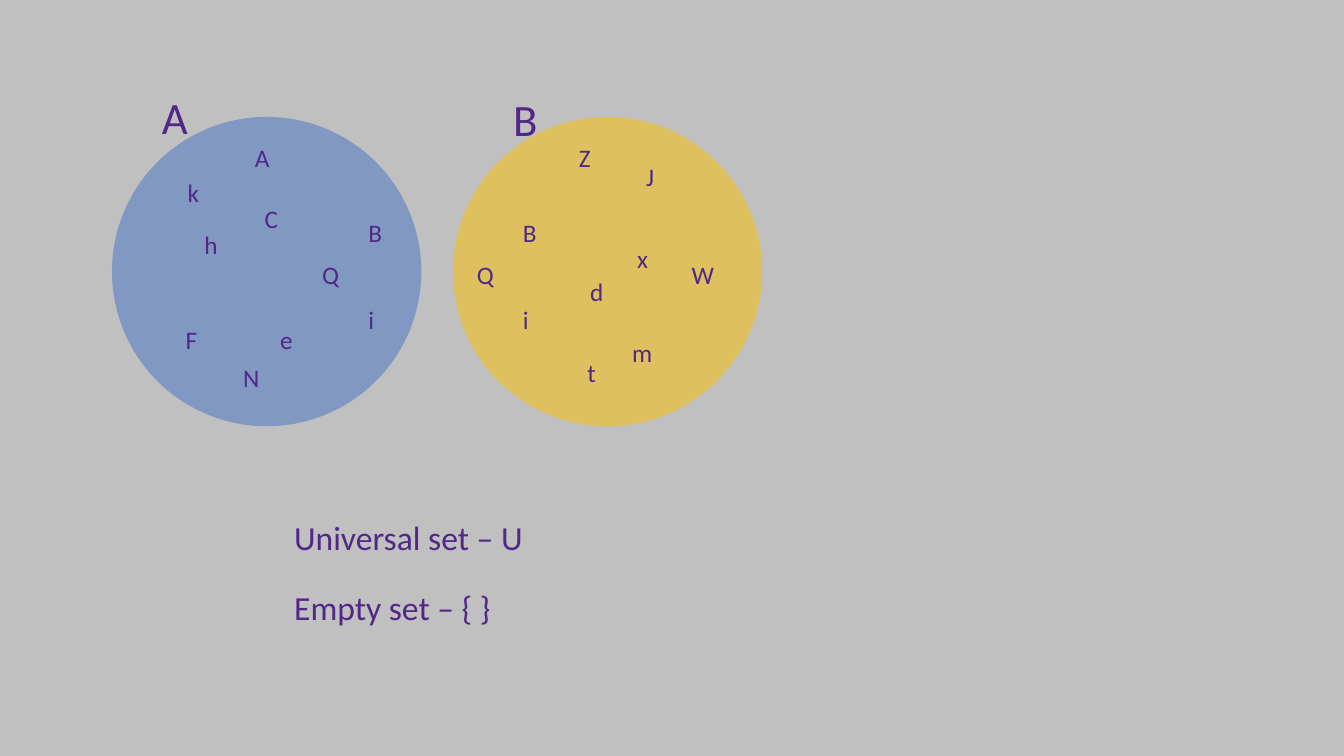
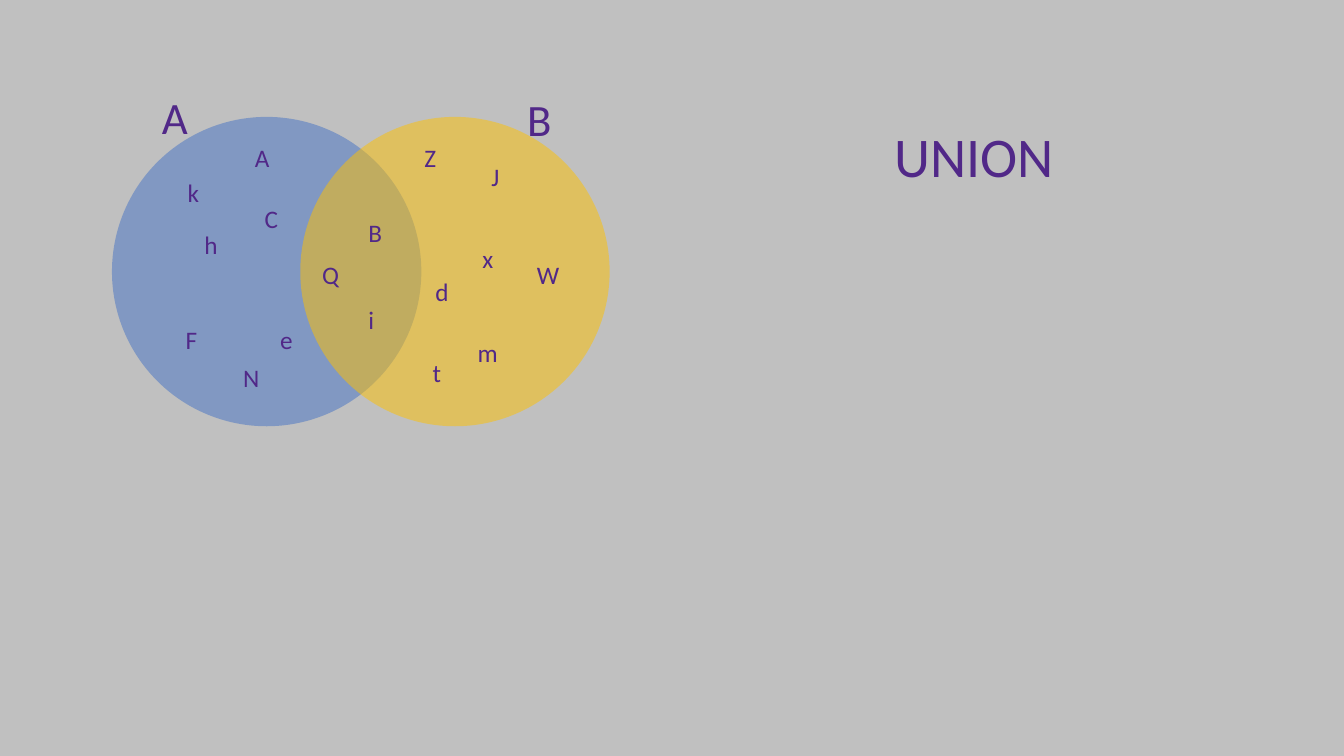
"""Build two slides on sets: two separate sets, then their union."""
from lxml import etree
from pptx import Presentation
from pptx import util as u
from pptx.dml import color
from pptx.enum import shapes, text
from pptx.oxml import ns

COLORS = {"background": "C0C0C0", "set_a": "4472C4", "set_b": "FFC000", "text": "512888"}
FRAME_FORMAT = {
    "word_wrap": False,
    "auto_size": text.MSO_AUTO_SIZE.SHAPE_TO_FIT_TEXT,
    "vertical_anchor": text.MSO_ANCHOR.TOP,
    "margin_left": u.Pt(7.2),
    "margin_right": u.Pt(7.2),
    "margin_top": u.Pt(3.6),
    "margin_bottom": u.Pt(3.6),
}
FONT_FORMAT = {"name": "Calibri", "bold": False}
SIZES = {"element": 18, "note": 24, "set_name": 32, "title": 40}
CIRCLE_TOP, DIAMETER = 83.5, 221
SET_A_LEFT = 80
SET_B_SHIFT = 110.5

ONLY_A = [
    ("A", 175, 98, 25), ("C", 182, 142, 22), ("e", 193, 228, 24), ("F", 125.5, 228, 23),
    ("h", 139, 160.5, 25), ("k", 127, 123, 23), ("N", 166.5, 255.5, 26),
]
ONLY_B = [
    ("d", 304, 194, 24.5), ("x", 337.5, 170.5, 23), ("J", 344, 112, 20), ("m", 334, 237.5, 29),
    ("W", 376.5, 181.5, 31), ("Z", 296, 98, 23), ("t", 302, 252, 21),
]
SHARED = [("B", 256, 152, 25), ("i", 256, 214, 19), ("Q", 223, 181.5, 26.5)]


def rgb(name):
    """Return the named colour."""
    return color.RGBColor.from_string(COLORS[name])


def apply_format(target, values):
    """Set each attribute of the target from a dict."""
    for name, value in values.items():
        setattr(target, name, value)


def write_text(shape, words, left, top, width, size):
    """Place a shape and give it one formatted line of text."""
    place = {"left": left, "top": top, "width": width, "height": size * 1.22 + 7.2}
    apply_format(shape, {name: u.Pt(value) for name, value in place.items()})
    apply_format(shape.text_frame, FRAME_FORMAT)
    paragraph = shape.text_frame.paragraphs[0]
    paragraph.text = words
    paragraph.alignment = text.PP_ALIGN.LEFT
    apply_format(paragraph.font, {**FONT_FORMAT, "size": u.Pt(size)})
    paragraph.font.color.rgb = rgb("text")


def add_label(slide, words, left, top, width, kind):
    """Add a text box in the size of its kind."""
    write_text(slide.shapes.add_textbox(0, 0, 0, 0), words, left, top, width, SIZES[kind])


def add_elements(slide, elements, shift=0):
    """Add the elements of a set, moved right by the shift."""
    for letter, left, top, width in elements:
        add_label(slide, letter, left + shift, top, width, "element")


def add_circle(slide, left, color_name):
    """Add a half-transparent circle for a set."""
    place = [u.Pt(value) for value in (left, CIRCLE_TOP, DIAMETER, DIAMETER)]
    circle = slide.shapes.add_shape(shapes.MSO_SHAPE.OVAL, *place)
    circle.shadow.inherit = False
    circle.line.fill.background()
    circle.fill.solid()
    circle.fill.fore_color.rgb = rgb(color_name)
    fill_color = circle.fill._xPr.find(".//" + ns.qn("a:srgbClr"))
    etree.SubElement(fill_color, ns.qn("a:alpha"), val="50000")


def add_sets(slide, set_b_left, name_b_left, shift):
    """Add both circles, their names and the elements of each set."""
    add_circle(slide, SET_A_LEFT, "set_a")
    add_circle(slide, set_b_left, "set_b")
    add_elements(slide, ONLY_A)
    add_elements(slide, SHARED)
    add_elements(slide, ONLY_B, shift)
    if shift:
        add_elements(slide, SHARED, shift)
    add_label(slide, "A", 108.5, 60.5, 33, "set_name")
    add_label(slide, "B", name_b_left, 62, 32, "set_name")


def build_separate_sets(presentation):
    """Build the slide with two separate sets."""
    slide = presentation.slides.add_slide(presentation.slide_layouts[6])
    add_sets(slide, 323.5, 359.5, SET_B_SHIFT)
    add_label(slide, "Universal set – U", 203, 366, 185, "note")
    add_label(slide, "Empty set – { }", 203, 416, 156, "note")


def build_union(presentation):
    """Build the slide with the overlapping sets."""
    slide = presentation.slides.add_slide(presentation.slide_layouts[5])
    add_sets(slide, 214.5, 369.5, 0)
    write_text(slide.shapes.title, "UNION", 632, 83.5, 130, SIZES["title"])


def main():
    """Build and save the presentation."""
    presentation = Presentation()
    apply_format(presentation, {"slide_width": u.Pt(960), "slide_height": u.Pt(540)})
    background = presentation.slide_master.background.fill
    background.solid()
    background.fore_color.rgb = rgb("background")
    build_separate_sets(presentation)
    build_union(presentation)
    presentation.save("out.pptx")


if __name__ == "__main__":
    main()
